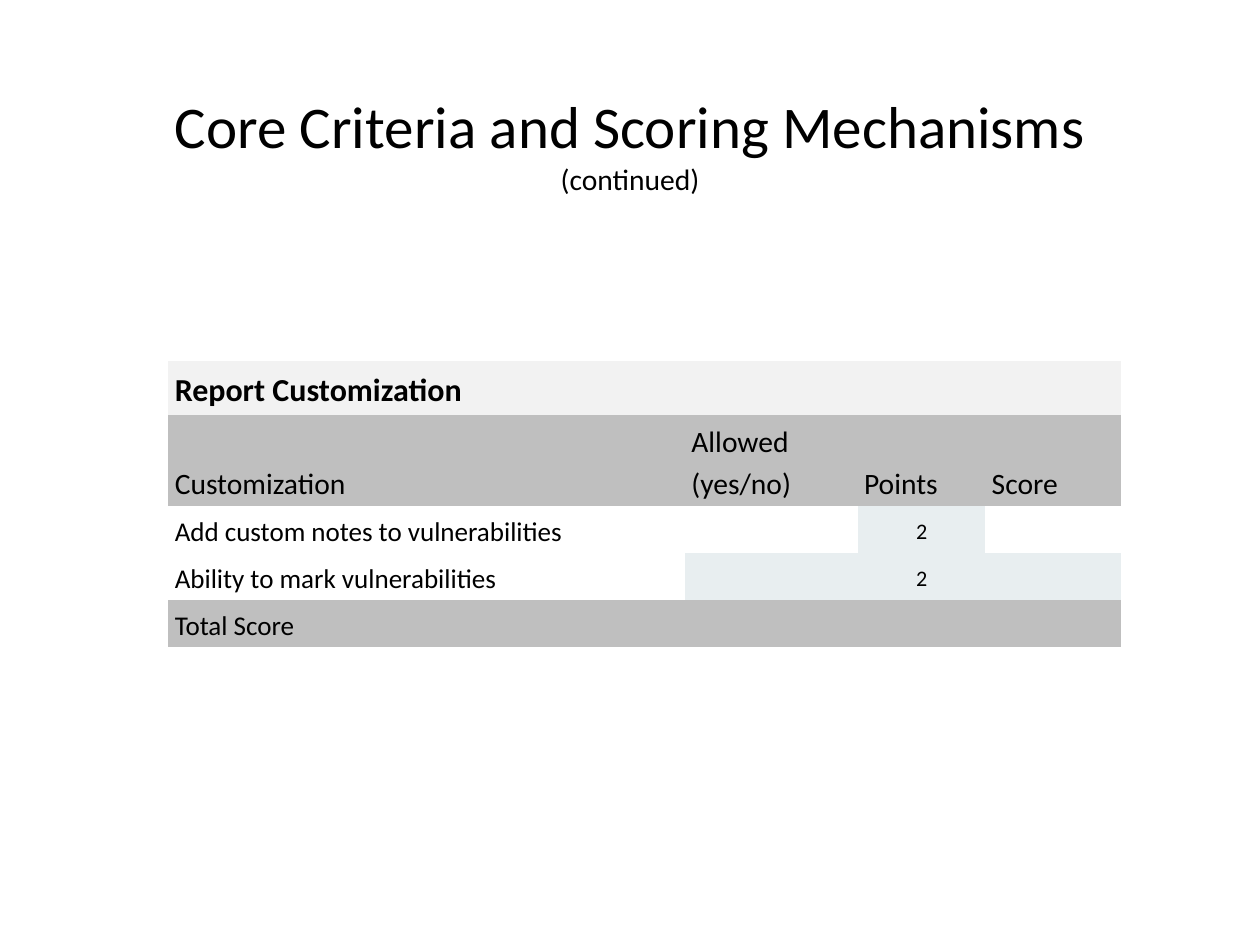
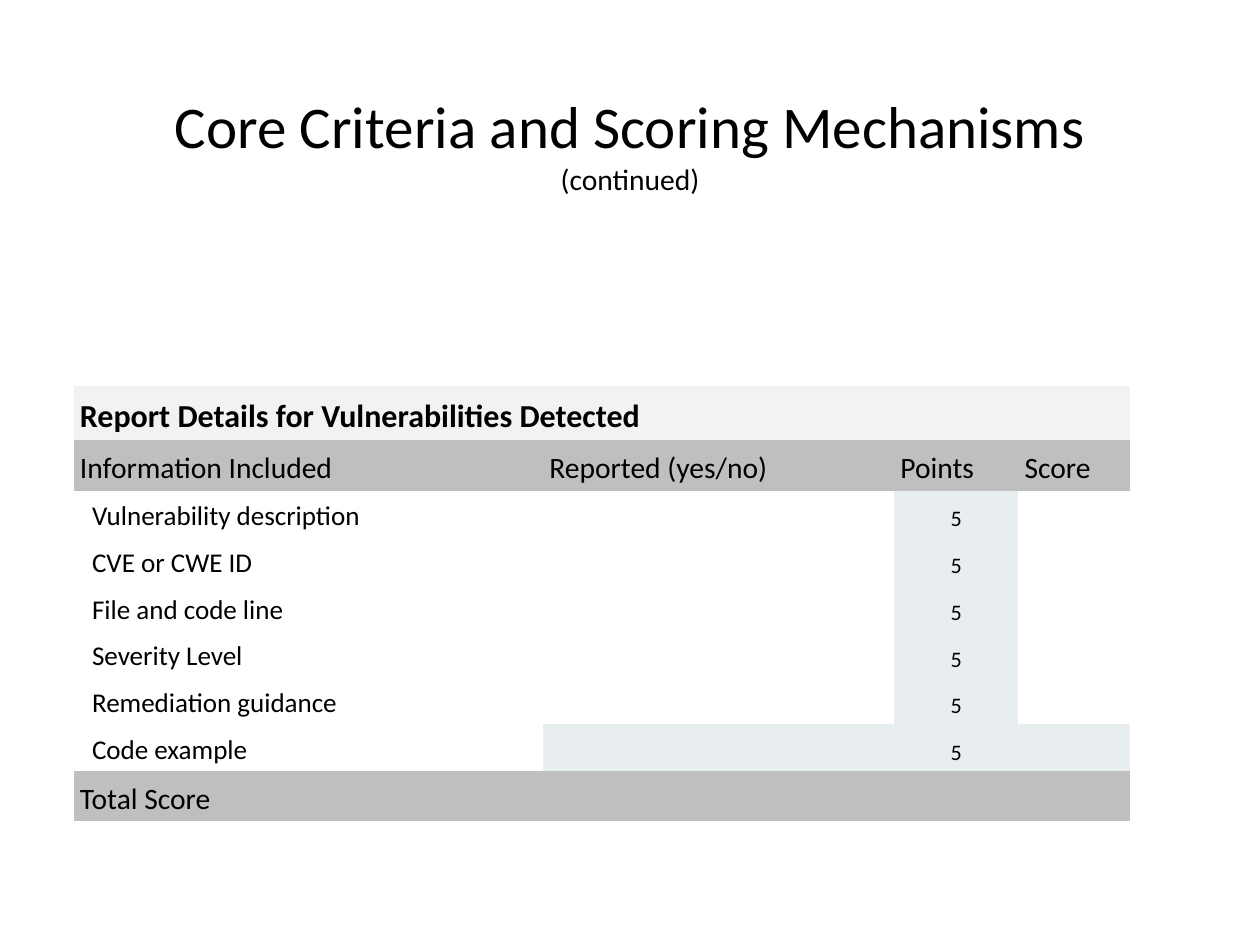
"""Build two slides with scoring tables for report criteria."""
from dataclasses import dataclass

from pptx import Presentation
from pptx.dml.color import RGBColor
from pptx.enum.text import MSO_ANCHOR, MSO_AUTO_SIZE, PP_ALIGN
from pptx.oxml.ns import qn
from pptx.presentation import Presentation as PresentationType
from pptx.slide import Slide
from pptx.table import Table, _Cell
from pptx.text.text import _Run
from pptx.util import Cm, Pt

BLACK = RGBColor(0x00, 0x00, 0x00)
WHITE = RGBColor(0xFF, 0xFF, 0xFF)
PALE_GREY = RGBColor(0xF2, 0xF2, 0xF2)
MID_GREY = RGBColor(0xBF, 0xBF, 0xBF)
PALE_BLUE = RGBColor(0xE8, 0xEE, 0xF0)

FONT = "Calibri"
TITLE_ONLY_LAYOUT = 5
PLAIN_TABLE_STYLE = "{2D5ABB26-0587-4C30-8999-92F81FD0307C}"
POINTS_COLUMN = 2
CELL_INSET = 0.18


@dataclass(frozen=True)
class ScoringTable:
    """Content and measures, in centimetres, of one scoring table."""

    heading: str
    column_names: list[str]
    criteria: list[str]
    points: int
    left: float
    top: float
    column_widths: list[float]
    heading_height: float
    names_height: float
    criterion_height: float
    total_height: float
    total_size: int
    criterion_inset: float
    points_anchor: MSO_ANCHOR


SCORING_TABLES = [
    ScoringTable(
        heading="Report Customization",
        column_names=["Customization", "Allowed (yes/no)", "Points", "Score"],
        criteria=["Add custom notes to vulnerabilities", "Ability to mark vulnerabilities"],
        points=2,
        left=4.83,
        top=10.34,
        column_widths=[14.81, 4.95, 3.66, 3.89],
        heading_height=1.37,
        names_height=2.57,
        criterion_height=1.17,
        total_height=1.17,
        total_size=22,
        criterion_inset=CELL_INSET,
        points_anchor=MSO_ANCHOR.MIDDLE,
    ),
    ScoringTable(
        heading="Report Details for Vulnerabilities Detected",
        column_names=["Information Included", "Reported (yes/no)", "Points", "Score"],
        criteria=[
            "Vulnerability description",
            "CVE or CWE ID",
            "File and code line",
            "Severity Level",
            "Remediation guidance",
            "Code example",
        ],
        points=5,
        left=2.11,
        top=11.07,
        column_widths=[13.46, 10.06, 3.56, 3.2],
        heading_height=1.27,
        names_height=1.17,
        criterion_height=1.07,
        total_height=1.17,
        total_size=24,
        criterion_inset=0.53,
        points_anchor=MSO_ANCHOR.BOTTOM,
    ),
]


def format_run(run: _Run, size: int, bold: bool = False) -> None:
    """Apply the shared font to a run."""
    run.font.name = FONT
    run.font.size = Pt(size)
    run.font.bold = bold
    run.font.color.rgb = BLACK


def add_title(slide: Slide) -> None:
    """Place and fill the title that the slides share."""
    title = slide.shapes.title
    title.left, title.top, title.width, title.height = Cm(3.53), Cm(0.38), Cm(29.06), Cm(7.42)
    text_frame = title.text_frame
    text_frame.word_wrap = True
    text_frame.auto_size = MSO_AUTO_SIZE.NONE
    text_frame.vertical_anchor = MSO_ANCHOR.MIDDLE
    text_frame.margin_left = text_frame.margin_right = Cm(0.15)
    text_frame.margin_top = text_frame.margin_bottom = Cm(0.15)
    paragraph = text_frame.paragraphs[0]
    paragraph.alignment = PP_ALIGN.CENTER
    for text, size in (("Core Criteria and Scoring Mechanisms", 48), (" ", 26), ("(continued)", 24)):
        run = paragraph.add_run()
        run.text = text
        format_run(run, size)


def write_cell(
    cell: _Cell,
    text: str,
    size: int,
    bold: bool = False,
    alignment: PP_ALIGN = PP_ALIGN.LEFT,
    anchor: MSO_ANCHOR = MSO_ANCHOR.BOTTOM,
    inset: float = CELL_INSET,
) -> None:
    """Write formatted text into a table cell."""
    cell.margin_left, cell.margin_right = Cm(inset), Cm(CELL_INSET)
    cell.vertical_anchor = anchor
    paragraph = cell.text_frame.paragraphs[0]
    paragraph.text = text
    paragraph.alignment = alignment
    paragraph.line_spacing = 1.15
    format_run(paragraph.runs[0], size, bold)


def fill_row(table: Table, row: int, colors: list[RGBColor]) -> None:
    """Fill the cells of one row with the given colours."""
    for column, color in enumerate(colors):
        fill = table.cell(row, column).fill
        fill.solid()
        fill.fore_color.rgb = color


def add_scoring_table(slide: Slide, scoring: ScoringTable) -> None:
    """Draw a scoring table with heading, criteria and total."""
    heights = [
        scoring.heading_height,
        scoring.names_height,
        *[scoring.criterion_height] * len(scoring.criteria),
        scoring.total_height,
    ]
    column_count = len(scoring.column_widths)
    graphic_frame = slide.shapes.add_table(
        len(heights),
        column_count,
        Cm(scoring.left),
        Cm(scoring.top),
        Cm(sum(scoring.column_widths)),
        Cm(sum(heights)),
    )
    for style in graphic_frame.element.iter(qn("a:tableStyleId")):
        style.text = PLAIN_TABLE_STYLE
    table = graphic_frame.table
    table.first_row = table.horz_banding = False
    for column, width in zip(table.columns, scoring.column_widths):
        column.width = Cm(width)
    for row, height in zip(table.rows, heights):
        row.height = Cm(height)

    last_row = len(heights) - 1
    fill_row(table, 0, [PALE_GREY] * column_count)
    table.cell(0, 0).merge(table.cell(0, column_count - 1))
    write_cell(table.cell(0, 0), scoring.heading, 26, bold=True)

    fill_row(table, 1, [MID_GREY] * column_count)
    for column_index, name in enumerate(scoring.column_names):
        write_cell(table.cell(1, column_index), name, 24)

    for row_index, criterion in enumerate(scoring.criteria, start=2):
        side_color = PALE_BLUE if row_index == last_row - 1 else WHITE
        fill_row(table, row_index, [WHITE, side_color, PALE_BLUE, side_color])
        write_cell(table.cell(row_index, 0), criterion, 22, inset=scoring.criterion_inset)
        write_cell(
            table.cell(row_index, POINTS_COLUMN),
            str(scoring.points),
            18,
            alignment=PP_ALIGN.CENTER,
            anchor=scoring.points_anchor,
        )

    fill_row(table, last_row, [MID_GREY] * column_count)
    table.cell(last_row, 0).merge(table.cell(last_row, POINTS_COLUMN))
    write_cell(table.cell(last_row, 0), "Total Score", scoring.total_size)


def add_scoring_slide(presentation: PresentationType, scoring: ScoringTable) -> None:
    """Add a slide with the shared title and one scoring table."""
    slide = presentation.slides.add_slide(presentation.slide_layouts[TITLE_ONLY_LAYOUT])
    add_title(slide)
    add_scoring_table(slide, scoring)


def main() -> None:
    """Build and save the presentation."""
    presentation = Presentation()
    presentation.slide_width = Cm(36.12)
    presentation.slide_height = Cm(27.08)
    for scoring in SCORING_TABLES:
        add_scoring_slide(presentation, scoring)
    presentation.save("out.pptx")


if __name__ == "__main__":
    main()
